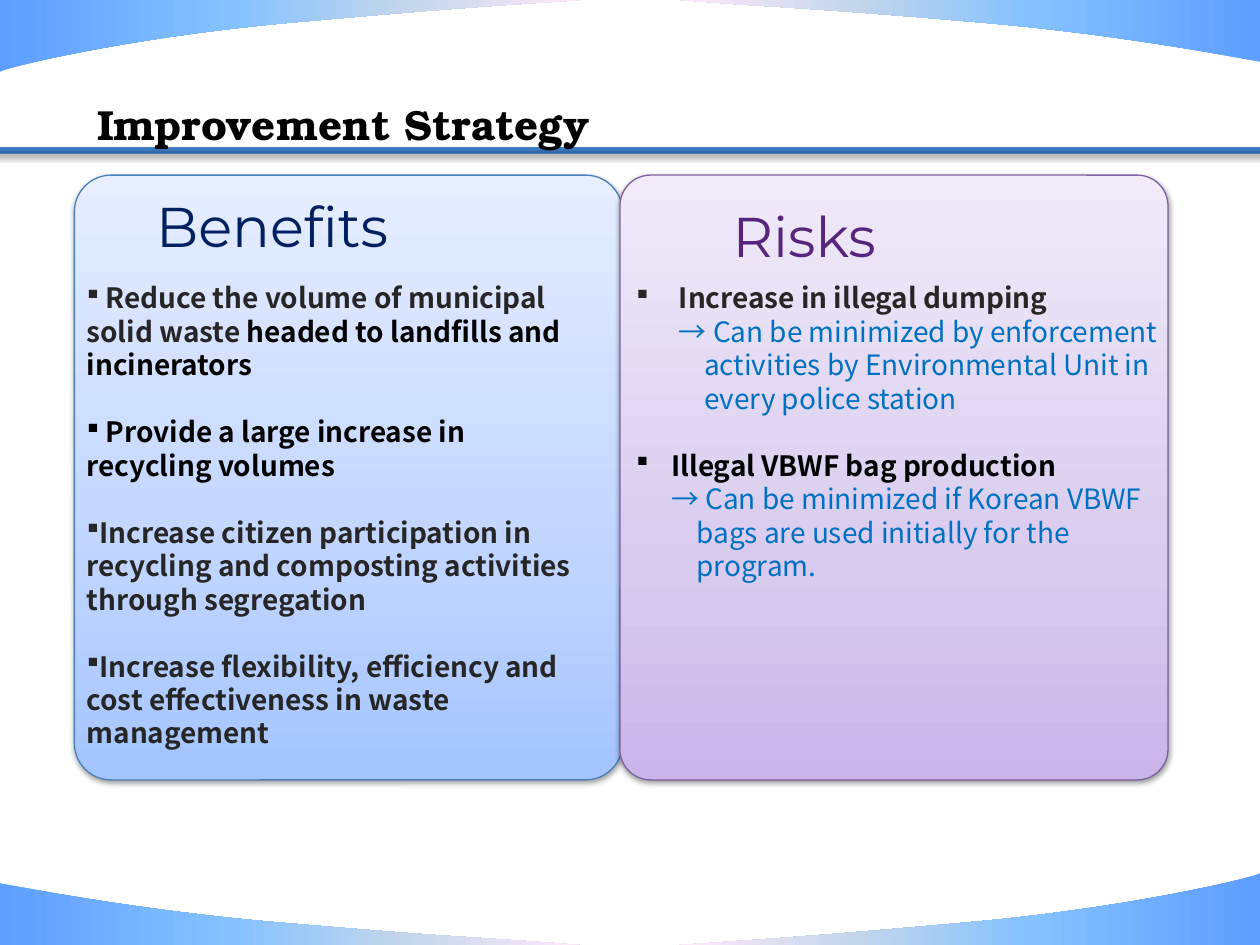
import pptx
import pptx.util
import pptx.dml.color
import pptx.enum.shapes
import pptx.enum.text
import pptx.oxml
import pptx.oxml.ns

Inches = pptx.util.Inches
Pt = pptx.util.Pt
RGBColor = pptx.dml.color.RGBColor
MSO = pptx.enum.shapes.MSO_SHAPE
ALIGN = pptx.enum.text.PP_ALIGN
ANCHOR = pptx.enum.text.MSO_ANCHOR
qn = pptx.oxml.ns.qn

WIDE, HIGH = 10, 7.5
BLACK = RGBColor(0, 0, 0)
DARK = RGBColor(0x26, 0x26, 0x26)
NAVY = RGBColor(0x00, 0x20, 0x60)
PLUM = RGBColor(0x57, 0x25, 0x7D)
AZURE = RGBColor(0x00, 0x70, 0xC0)
STEEL = RGBColor(0x4B, 0x7E, 0xBC)
VIOLET = RGBColor(0x7D, 0x60, 0xA0)


def stops(*pairs):
    """Turn (percent, hex) pairs into gradient stops."""
    return [(at, RGBColor.from_string(tint)) for at, tint in pairs]


SKY = stops((0, "5E9EFF"), (40, "85C2FF"), (70, "C4D6EB"), (100, "FFEBFA"))
BAR = stops((0, "2F5F99"), (80, "3D7CC7"), (100, "3A7CCB"))
BLUE = stops((0, "A4C4FF"), (35, "BFD4FF"), (100, "E6EEFF"))
LILAC = stops((0, "C9B5E8"), (35, "D8CBEE"), (100, "F0EAF9"))

BODY = "Noto Sans CJK KR"
HEAD = "Montserrat"
LINE = Pt(19.15)
NS = pptx.oxml.ns.nsdecls("a")

# Corner outlines: start, then Bezier segments
SHORT = [(5.4, 0), (6.16, 0.06), (6.42, 0.06), (7.68, 0.17),
         (8.94, 0.27), (9.98, 0.49), (10, 0.49)]
TALL = [(4.61, 0), (3.86, 0.05), (3.54, 0.07), (2.31, 0.18),
        (1.08, 0.29), (0.1, 0.52), (0, 0.57)]


def shade(shape, ramp, angle):
    """Fill a shape with a linear gradient of any number of stops."""
    shape.fill.gradient()
    props = shape.fill._xPr
    old = props.find(qn("a:gradFill"))
    marks = "".join(
        f'<a:gs pos="{at * 1000}"><a:srgbClr val="{tint}"/></a:gs>'
        for at, tint in ramp)
    props.replace(old, pptx.oxml.parse_xml(
        f'<a:gradFill {NS} rotWithShape="1"><a:gsLst>{marks}</a:gsLst>'
        f'<a:lin ang="{angle * 60000}" scaled="0"/></a:gradFill>'))


def cast(shape, alpha, drop):
    """Give a shape a soft shadow below it."""
    shape.shadow.inherit = False
    effects = shape._element.spPr.find(qn("a:effectLst"))
    effects.append(pptx.oxml.parse_xml(
        f'<a:outerShdw {NS} blurRad="{Pt(3.1)}" dist="{Pt(drop)}" '
        f'dir="5400000" rotWithShape="0"><a:srgbClr val="000000">'
        f'<a:alpha val="{alpha * 1000}"/></a:srgbClr></a:outerShdw>'))


def bend(shape, count):
    """Join the first line steps of an outline, by threes, into curves."""
    steps = list(shape._element.iter(qn("a:lnTo")))[:count]
    for i in range(0, count, 3):
        arc = pptx.oxml.parse_xml(f"<a:cubicBezTo {NS}/>")
        steps[i].addprevious(arc)
        for step in steps[i:i + 3]:
            arc.append(step[0])
            step.getparent().remove(step)


def corner(slide, nodes, turned):
    """Draw a curved corner, turned half round the slide if asked."""
    points = nodes + [(nodes[-1][0], 0)]
    if turned:
        points = [(WIDE - x, HIGH - y) for x, y in points]
    dots = [(Inches(x), Inches(y)) for x, y in points]
    pen = slide.shapes.build_freeform(*dots[0])
    pen.add_line_segments(dots[1:], close=True)
    shape = pen.convert_to_shape()
    bend(shape, len(nodes) - 1)
    shape.shadow.inherit = False
    right = points[-1][0] > WIDE / 2
    shade(shape, SKY, 180 if right else 0)
    shape.line.fill.background()


def block(slide, kind, box, ramp, edge, alpha, drop):
    """Add an outlined gradient shape with a shadow."""
    shape = slide.shapes.add_shape(kind, *map(Inches, box))
    shade(shape, ramp, 270)
    shape.line.color.rgb = edge
    shape.line.width = Pt(0.75)
    cast(shape, alpha, drop)
    return shape


def frame(slide, box):
    """Add a wrapping text box and return its text frame."""
    text = slide.shapes.add_textbox(*map(Inches, box)).text_frame
    text.word_wrap = True
    return text


def style(para, font, size, tint=None, bold=False):
    """Set the font of a paragraph."""
    para.font.name, para.font.size, para.font.bold = font, Pt(size), bold
    if tint is not None:
        para.font.color.rgb = tint


def label(slide, box, words, tint, align=ALIGN.LEFT):
    """Write the heading of a panel."""
    para = frame(slide, box).paragraphs[0]
    para.text, para.alignment = words, align
    style(para, HEAD, 32, tint)


def item(text, runs, bullet=True, left=0, first=0, gap=False, bold=True):
    """Append one body paragraph made of (words, colour) runs."""
    para = text.paragraphs[0]
    if para.runs:
        para = text.add_paragraph()
    style(para, BODY, 16, bold=bold)
    para.line_spacing = LINE
    para.space_before = LINE if gap else Pt(0)
    for words, tint in runs:
        for i, part in enumerate(words.split("\n")):
            if i:
                para.add_line_break()
            run = para.add_run()
            run.text = part
            run.font.color.rgb = tint
    props = para._p.get_or_add_pPr()
    props.set("marL", str(Inches(left)))
    props.set("indent", str(Inches(first)))
    if bullet:
        for mark in (f'<a:buFont {NS} typeface="Wingdings" charset="2"/>',
                     f'<a:buChar {NS} char="\u00a7"/>'):
            props.insert_element_before(
                pptx.oxml.parse_xml(mark), "a:tabLst", "a:defRPr", "a:extLst")


def panel(slide, box, ramp, edge, curve):
    """Draw the rounded card behind a list."""
    card = block(slide, MSO.ROUNDED_RECTANGLE, box, ramp, edge, 38, 1.6)
    card.adjustments[0] = curve


def gains(slide, x, y):
    """Write the benefits list."""
    label(slide, (x + 0.55, y + 0.08, 2.25, 0.64), "Benefits", NAVY)
    text = frame(slide, (x, y + 0.79, 4.14, 4.14))
    rows = [
        [(" Reduce the volume of municipal solid waste ", DARK),
         ("headed to landfills and incinerators", BLACK)],
        [(" Provide a large increase in recycling volumes", BLACK)],
        [("Increase citizen participation in recycling and composting "
          "activities through segregation", DARK)],
        [("Increase flexibility, efficiency and cost effectiveness in "
          "waste management", DARK)]]
    for i, runs in enumerate(rows):
        item(text, runs, gap=i > 0)


def risks(slide, x, y):
    """Write the risks list, each with its answer."""
    label(slide, (x + 0.58, y + 0.16, 1.55, 0.64), "Risks", PLUM, ALIGN.RIGHT)
    text = frame(slide, (x + 0.03, y + 0.79, 4.5, 2.52))
    rows = [
        ("Increase in illegal dumping", DARK, 0.34,
         "\u2192 Can be minimized by enforcement\nactivities by "
         "Environmental Unit in\nevery police station"),
        ("Illegal VBWF bag production", BLACK, 0.28,
         "\u2192 Can be minimized if Korean VBWF\nbags are used "
         "initially for the\nprogram.")]
    for i, (risk, tint, left, answer) in enumerate(rows):
        item(text, [(risk, tint)], left=left, first=-left, gap=i > 0)
        item(text, [(answer, AZURE)], bullet=False, left=left + 0.2,
             first=-0.2, bold=False)


def title(slide, box):
    """Write the slide title."""
    text = frame(slide, box)
    text.vertical_anchor = ANCHOR.MIDDLE
    text.margin_left = text.margin_right = Inches(0.02)
    text.margin_top = text.margin_bottom = Inches(0.02)
    para = text.paragraphs[0]
    para.text, para.line_spacing = "Improvement Strategy", 1.5
    style(para, "TeX Gyre Bonum", 24, BLACK, True)


def main():
    """Build the slide and save it."""
    deck = pptx.Presentation()
    deck.slide_width, deck.slide_height = Inches(WIDE), Inches(HIGH)
    slide = deck.slides.add_slide(deck.slide_layouts[6])
    for nodes in (SHORT, TALL):
        for turned in (False, True):
            corner(slide, nodes, turned)
    block(slide, MSO.RECTANGLE, (-0.23, 1.17, 10.55, 0.05), BAR, STEEL, 35, 1.8)
    panel(slide, (0.59, 1.39, 4.35, 4.8), BLUE, STEEL, 0.067)
    panel(slide, (4.92, 1.39, 4.35, 4.8), LILAC, VIOLET, 0.056)
    gains(slide, 0.59, 1.39)
    risks(slide, 4.92, 1.39)
    title(slide, (0.75, 0.6, 6.88, 0.57))
    deck.save("out.pptx")


main()
